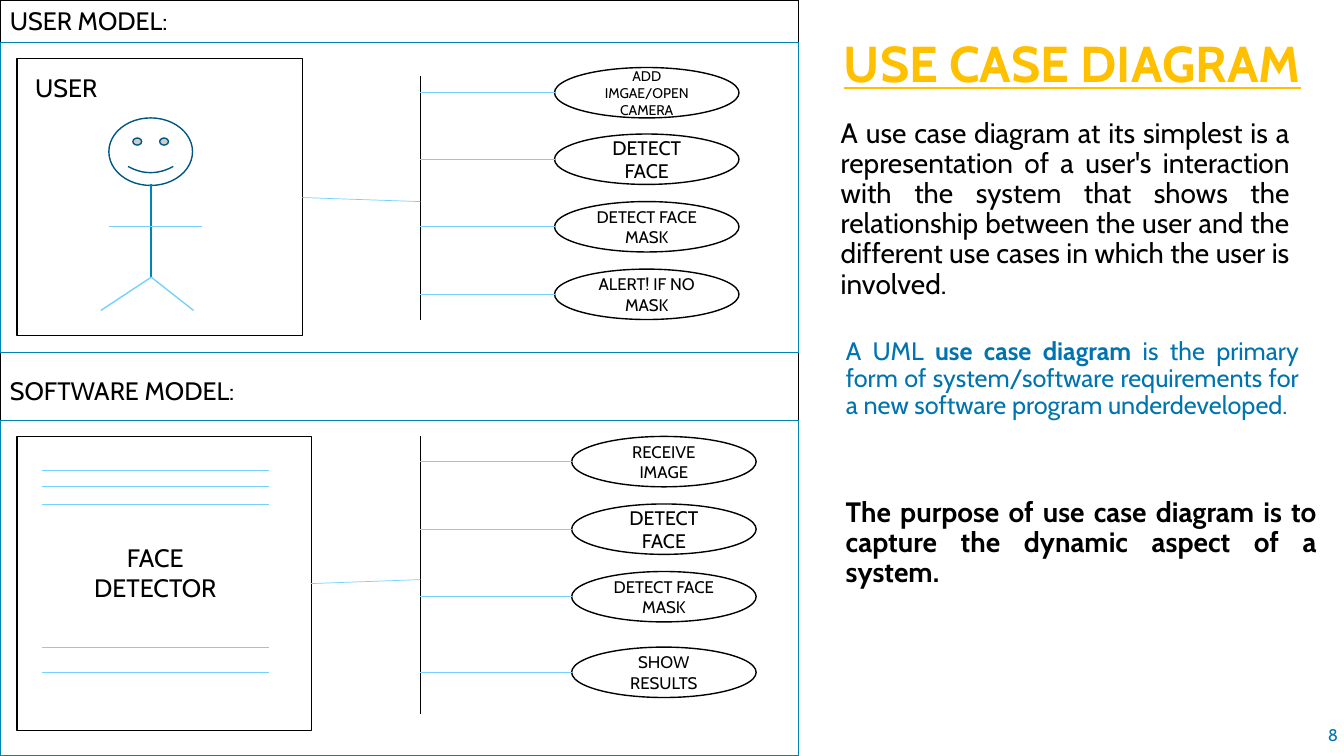
import pptx
import pptx.dml.color
import pptx.enum.shapes
import pptx.enum.text
import pptx.oxml.ns
import pptx.util
from lxml import etree

Inches = pptx.util.Inches
Pt = pptx.util.Pt
SHAPE = pptx.enum.shapes.MSO_SHAPE
ALIGN = pptx.enum.text.PP_ALIGN
ANCHOR = pptx.enum.text.MSO_ANCHOR
FIT = pptx.enum.text.MSO_AUTO_SIZE

BLACK, WHITE, GOLD = "000000", "FFFFFF", "FFC000"
BLUE, TEAL, NAVY, SKY = "0074AF", "0084B4", "005783", "75D1FF"


def color(value):
    return pptx.dml.color.RGBColor.from_string(value)


def write(frame, text, size=18, ink=BLACK, bold=False, underline=None, align=ALIGN.LEFT,
          spacing=None, before=None, after=None, font="Cabin"):
    """Fill a text frame; a newline starts a paragraph, asterisks enclose bold words."""
    for number, line in enumerate(text.split("\n")):
        paragraph = frame.paragraphs[0] if number == 0 else frame.add_paragraph()
        paragraph.alignment = align
        paragraph.line_spacing = spacing
        paragraph.space_before = before
        paragraph.space_after = after
        for index, words in enumerate(line.split("*")):
            run = paragraph.add_run()
            run.text = words
            run.font.name = font
            run.font.size = Pt(size)
            run.font.bold = bold or index % 2 == 1
            run.font.underline = underline
            run.font.color.rgb = color(ink)


class Diagram:
    def __init__(self, slide):
        self.shapes = slide.shapes

    def text(self, left, top, width, height, words, wrap=True, inset=0.1,
             anchor=ANCHOR.TOP, **style):
        box = self.shapes.add_textbox(Inches(left), Inches(top), Inches(width), Inches(height))
        frame = box.text_frame
        frame.word_wrap = wrap
        frame.auto_size = FIT.SHAPE_TO_FIT_TEXT if wrap else FIT.NONE
        frame.vertical_anchor = anchor
        frame.margin_left = frame.margin_right = Inches(inset)
        write(frame, words, **style)

    def shape(self, left, top, width, height, kind=SHAPE.RECTANGLE, edge=BLACK):
        shape = self.shapes.add_shape(kind, Inches(left), Inches(top),
                                      Inches(width), Inches(height))
        shape.shadow.inherit = False
        shape.fill.solid()
        shape.fill.fore_color.rgb = color(WHITE)
        shape.line.color.rgb = color(edge)
        shape.line.width = Pt(1)
        return shape

    def line(self, x1, y1, x2, y2, ink=SKY, weight=0.5):
        line = self.shapes.add_connector(pptx.enum.shapes.MSO_CONNECTOR.STRAIGHT, Inches(x1),
                                         Inches(y1), Inches(x2), Inches(y2))
        line.line.color.rgb = color(ink)
        line.line.width = Pt(weight)
        etree.SubElement(line._element.spPr, pptx.oxml.ns.qn("a:effectLst"))

    def use_case(self, left, top, name, size, trunk):
        oval = self.shape(left, top, 1.83, 0.5, SHAPE.OVAL)
        oval.text_frame.word_wrap = True
        oval.text_frame.vertical_anchor = ANCHOR.MIDDLE
        write(oval.text_frame, name, size=size, align=ALIGN.CENTER)
        self.line(trunk, top + 0.25, left, top + 0.25)


def main():
    deck = pptx.Presentation()
    deck.slide_width, deck.slide_height = Inches(13.33), Inches(7.5)
    diagram = Diagram(deck.slides.add_slide(deck.slide_layouts[6]))

    # Explanation on the right
    diagram.text(12.79, 7.09, 0.58, 0.4, "8", wrap=False, anchor=ANCHOR.MIDDLE,
                 size=12, ink=BLUE, align=ALIGN.RIGHT)
    diagram.text(7.94, 0.34, 5.39, 0.65, "USE CASE DIAGRAM", inset=0.16, size=36, ink=GOLD,
                 bold=True, underline=True, align=ALIGN.CENTER, spacing=0.9, before=Pt(10))
    body = {"align": ALIGN.JUSTIFY, "spacing": 0.9}
    diagram.text(8.24, 1.13, 4.65, 1.9,
                 "A use case diagram at its simplest is a representation of a user's interaction "
                 "with the system that shows the relationship between the user and the different "
                 "use cases in which the user is involved.", size=20, before=Pt(10), **body)
    diagram.text(8.29, 3.31, 4.69, 1.19,
                 "A UML *use case diagram* is the primary form of system/software requirements "
                 "for a new software program underdeveloped.", ink=BLUE, after=Pt(30), **body)
    diagram.text(8.29, 4.89, 4.87, 1.01,
                 "The purpose of use case diagram is to capture the dynamic aspect of a system.",
                 size=20, bold=True, before=Pt(10), **body)

    # Panels and their headings
    diagram.shape(0, 0, 7.92, 7.5)
    for top, heading in ((0, "USER MODEL:"), (3.67, "SOFTWARE MODEL:")):
        diagram.text(0, top, 3.58, 0.4, heading)
    for top, height in ((0.42, 3.08), (4.17, 3.33)):
        diagram.shape(0, top, 7.92, height, edge=TEAL)

    # User: stick figure
    diagram.shape(0.17, 0.58, 2.83, 2.75)
    diagram.text(0.25, 0.67, 1.58, 0.4, "USER")
    diagram.shape(1.08, 1.17, 0.83, 0.67, SHAPE.SMILEY_FACE, NAVY)
    diagram.line(1.5, 1.83, 1.5, 2.75, TEAL, 1.5)
    for limb in ((1, 3.08, 1.5, 2.75), (1.5, 2.75, 1.92, 3.08), (1.08, 2.25, 2, 2.25)):
        diagram.line(*limb, weight=1)

    # Face detector: ruled box
    diagram.shape(0.17, 4.33, 2.92, 2.92)
    diagram.text(0.25, 5.33, 2.58, 0.71, "FACE\nDETECTOR", align=ALIGN.CENTER)
    for rule in (4.67, 4.83, 5, 6.42, 6.67):
        diagram.line(0.42, rule, 2.67, rule)

    # Trunks, links from the actors, and use cases
    trunk = 4.17
    models = (
        ((0.75, 3.17), (3, 1.96, 2), 5.5,
         ((0.67, "ADD IMGAE/OPEN CAMERA", 10), (1.33, "DETECT FACE", 14),
          (2, "DETECT FACE MASK", 12), (2.67, "ALERT! IF NO MASK", 12))),
        ((4.33, 7.08), (3.08, 5.79, 5.75), 5.67,
         ((4.33, "RECEIVE IMAGE", 12), (5, "DETECT FACE", 14),
          (5.67, "DETECT FACE MASK", 12), (6.42, "SHOW RESULTS", 12))),
    )
    for (top, bottom), (actor, start, end), left, cases in models:
        diagram.line(trunk, top, trunk, bottom, BLACK)
        diagram.line(actor, start, trunk, end)
        for case_top, name, size in cases:
            diagram.use_case(left, case_top, name, size, trunk)

    deck.save("out.pptx")


if __name__ == "__main__":
    main()
